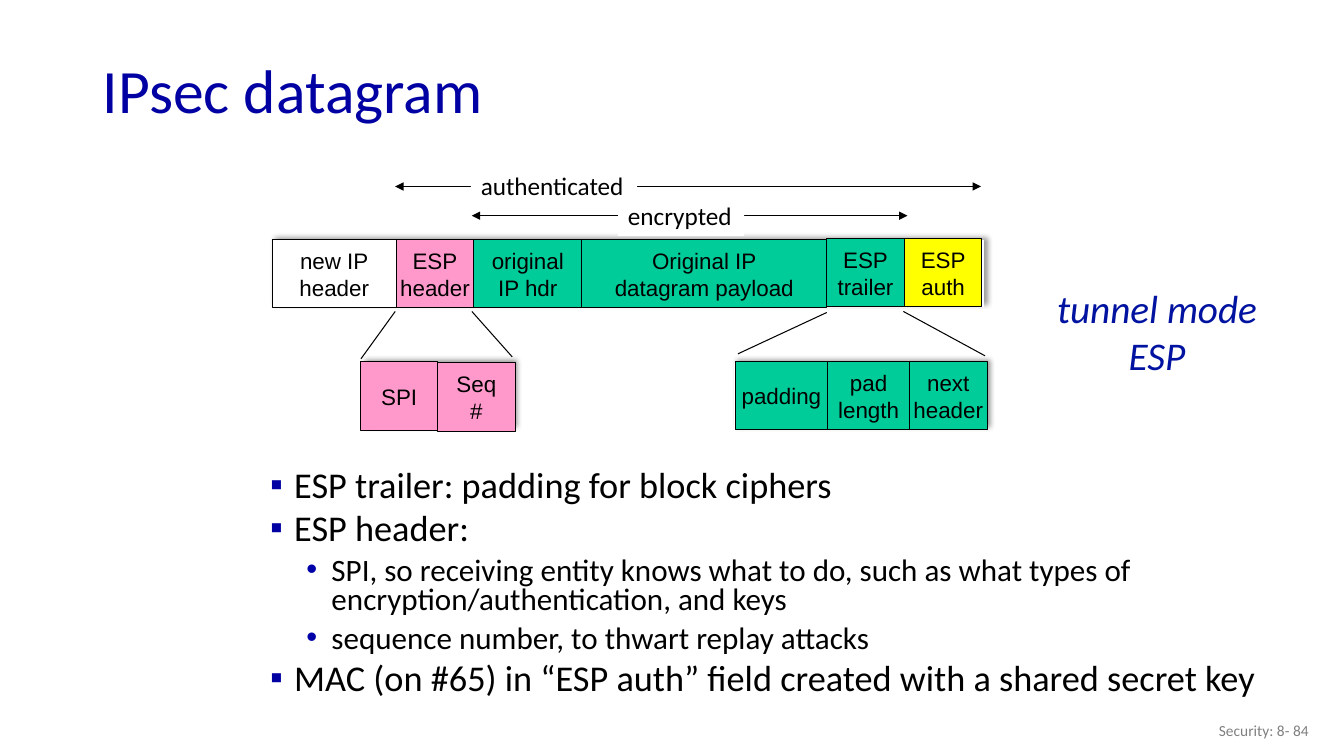
from lxml import etree
from pptx import Presentation, util as u
from pptx.dml.color import RGBColor
from pptx.enum import shapes, text
from pptx.oxml.ns import qn

PX = 9144  # 100 px to the inch
COLORS = {
    "title": "0000A3", "sub": "0000A8", "mode": "0012A0", "grey": "808080",
    "black": "000000", "white": "FFFFFF",
    "pink": "FF99CC", "green": "00CC99", "yellow": "FFFF00",
}
TITLE = "IPsec datagram"
FOOTER = "Security: 8- 84"
MODE = "tunnel mode|ESP"

# "|" starts a new paragraph, "\n" breaks a line inside one
BACKINGS = [(359, 360, 151, 67), (728, 360, 251, 67), (270, 238, 706, 67)]
# Each row: left, then fields as (top, width, height, colour, words)
FIELD_ROWS = [
    (270, [
        (238, 123, 67, None, "new IP\nheader"),
        (238, 77, 67, "pink", "ESP|header"),
        (238, 107, 67, "green", "original\nIP hdr"),
        (238, 243, 67, "green", "Original IP|datagram payload"),
        (237, 77, 67, "green", "ESP|trailer"),
        (237, 77, 67, "yellow", "ESP|auth"),
    ]),
    (729, [
        (359, 92, 67, "green", "padding"),
        (359, 81, 67, "green", "pad\nlength"),
        (359, 77, 67, "green", "next\nheader"),
    ]),
    (358, [
        (359, 76, 68, "pink", "SPI"),
        (360, 77, 68, "pink", "Seq|#"),
    ]),
]
ZOOM_LINES = [
    (732, 351, 820, 310), (977, 353, 896, 309),
    (358, 356, 392, 309), (468, 309, 508, 354),
]
# Arrow left, right, y; label box; words
SPANS = [
    (468, 900, 214, (613, 194, 125, 40), "encrypted"),
    (392, 973, 185, (467, 164, 165, 40), "authenticated"),
]
BULLETS = [
    (0, "ESP trailer: padding for block ciphers"),
    (0, "ESP header:"),
    (1, "SPI, so receiving entity knows what to do, such as what types of "
        "encryption/authentication, and keys"),
    (1, "sequence number, to thwart replay attacks"),
    (0, "MAC (on #65) in “ESP auth” field created with a shared secret key"),
]
# Per level: indent px, hanging px, size, bullet, bullet colour
LEVELS = [(39, 24, 25.9, "▪", "title"), (76, 25, 22.2, "•", "sub")]


def rgb(name):
    return RGBColor.from_string(COLORS[name])


def emu(box):
    return [n * PX for n in box]


def write(tf, words, size, font="Calibri", color="black", align=None,
          anchor=text.MSO_ANCHOR.TOP, wrap=False, italic=None):
    tf.word_wrap = wrap
    tf.vertical_anchor = anchor
    for i, line in enumerate(words.split("|")):
        p = tf.paragraphs[0] if i == 0 else tf.add_paragraph()
        p.alignment = align or text.PP_ALIGN.LEFT
        for j, part in enumerate(line.split("\n")):
            if j:
                p.add_line_break()
            r = p.add_run()
            r.text = part
            r.font.size = u.Pt(size)
            r.font.name = font
            r.font.italic = italic
            r.font.color.rgb = rgb(color)


def add_rect(s, box, fill, outlined=False):
    sp = s.shapes.add_shape(shapes.MSO_SHAPE.RECTANGLE, *emu(box))
    sp.shadow.inherit = False
    if fill:
        sp.fill.solid()
        sp.fill.fore_color.rgb = rgb(fill)
    else:
        sp.fill.background()
    if outlined:
        sp.line.color.rgb = rgb("black")
        sp.line.width = u.Pt(0.75)
    else:
        sp.line.fill.background()
    return sp


def cast_shadow(sp):
    effects = sp._element.spPr.find(qn("a:effectLst"))
    shadow = etree.SubElement(
        effects, qn("a:outerShdw"), blurRad=str(u.Pt(4)), dist=str(u.Pt(3)),
        dir=str(315 * 60000), algn="bl", rotWithShape="0")
    color = etree.SubElement(shadow, qn("a:srgbClr"), val=COLORS["black"])
    etree.SubElement(color, qn("a:alpha"), val="40000")


def add_line(s, ends, width, arrows=False):
    cn = s.shapes.add_connector(shapes.MSO_CONNECTOR.STRAIGHT, *emu(ends))
    cn.line.color.rgb = rgb("black")
    cn.line.width = u.Pt(width)
    if arrows:
        ln = cn.line._get_or_add_ln()
        for end in ("a:headEnd", "a:tailEnd"):
            etree.SubElement(ln, qn(end), type="triangle")
    etree.SubElement(cn._element.spPr, qn("a:effectLst"))


def add_bullets(s):
    tf = s.shapes.add_textbox(*emu((243, 462, 1034, 259))).text_frame
    tf.word_wrap = True
    for i, (level, words) in enumerate(BULLETS):
        indent, hang, size, char, color = LEVELS[level]
        p = tf.paragraphs[0] if i == 0 else tf.add_paragraph()
        p.level = level
        p.line_spacing = 0.8
        p.space_before = u.Pt(6 if i else 0)
        pPr = p._p.get_or_add_pPr()
        pPr.set("marL", str(indent * PX))
        pPr.set("indent", str(-hang * PX))
        bu_color = etree.SubElement(pPr, qn("a:buClr"))
        etree.SubElement(bu_color, qn("a:srgbClr"), val=COLORS[color])
        etree.SubElement(pPr, qn("a:buFont"), typeface="Arial")
        etree.SubElement(pPr, qn("a:buChar"), char=char)
        r = p.add_run()
        r.text = words
        r.font.size = u.Pt(size)
        r.font.name = "Calibri"
        r.font.color.rgb = rgb("black")


def main():
    prs = Presentation()
    prs.slide_width, prs.slide_height = emu((1333, 750))
    s = prs.slides.add_slide(prs.slide_layouts[5])
    center, middle = text.PP_ALIGN.CENTER, text.MSO_ANCHOR.MIDDLE

    title = s.shapes.title
    title.left, title.top, title.width, title.height = emu((92, 44, 1150, 98))
    write(title.text_frame, TITLE, 44, color="title", anchor=middle, wrap=True)
    title.text_frame.paragraphs[0].line_spacing = 0.9

    for box in BACKINGS:
        cast_shadow(add_rect(s, box, "white"))
    for left, fields in FIELD_ROWS:
        for top, width, height, fill, words in fields:
            sp = add_rect(s, (left, top, width, height), fill, outlined=True)
            write(sp.text_frame, words, 16, "Arial", align=center, anchor=middle)
            left += width
    for ends in ZOOM_LINES:
        add_line(s, ends, 0.75)
    for left, right, y, box, words in SPANS:
        add_line(s, (left, y, right, y), 1, arrows=True)
        write(add_rect(s, box, "white").text_frame, words, 18)

    add_bullets(s)
    mode = s.shapes.add_textbox(*emu((1037, 277, 221, 104)))
    write(mode.text_frame, MODE, 28, color="mode", align=center, italic=True)
    footer = s.shapes.add_textbox(*emu((1008, 705, 300, 40)))
    write(footer.text_frame, FOOTER, 11, color="grey",
          align=text.PP_ALIGN.RIGHT, anchor=middle, wrap=True)
    prs.save("out.pptx")


if __name__ == "__main__":
    main()
